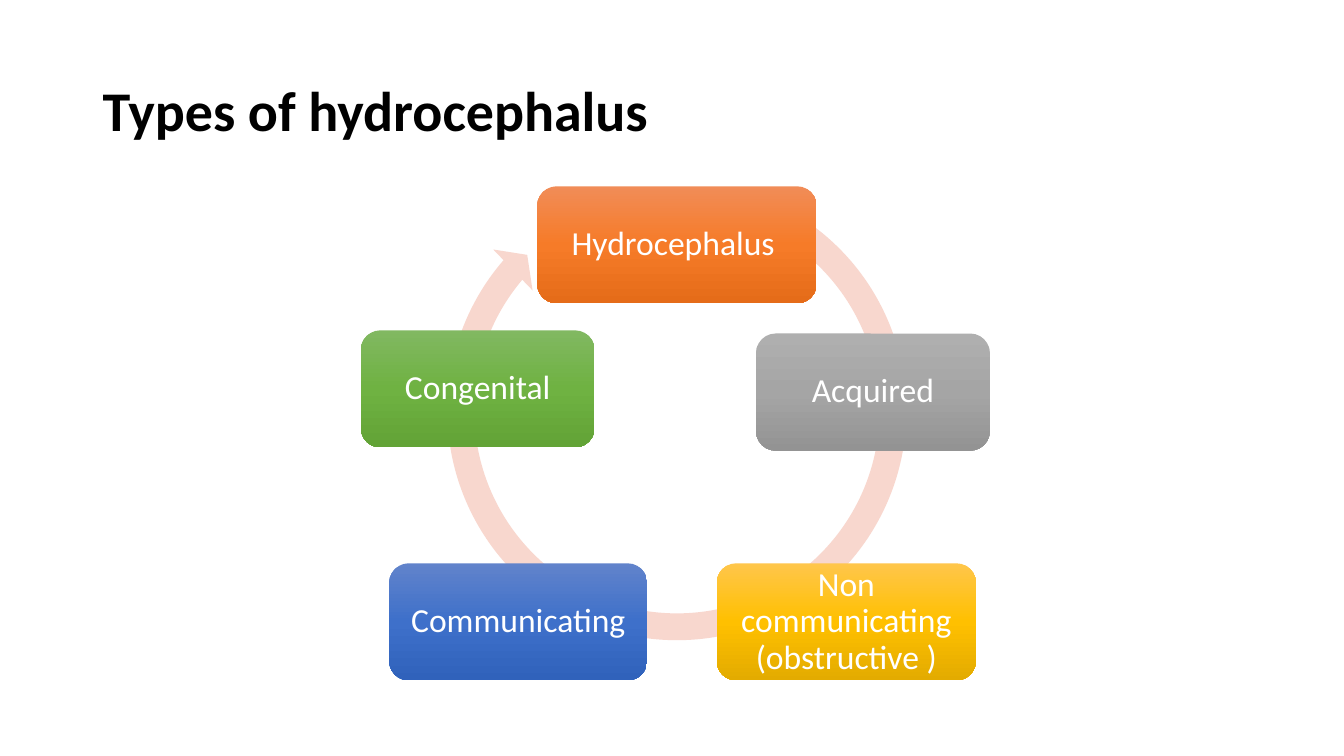
from copy import deepcopy

from pptx import Presentation
from pptx.dml.color import RGBColor
from pptx.enum.shapes import MSO_SHAPE
from pptx.enum.text import MSO_ANCHOR, PP_ALIGN
from pptx.util import Cm, Pt

FONT = "Calibri"
NODE_HEIGHT = 2.95
ARROW_ADJUSTMENTS = (0.055, 3.307, 132.382, 177.226, 0.058)

# Label, centre offset from the middle of the cycle (cm), width (cm), gradient
TYPES = [
    ("Hydrocephalus ", 0, -4.18, 7.04, ("F18C57", "F67B28", "E56C19")),
    ("Acquired", 4.94, -0.47, 5.89, ("AFAFAF", "A5A5A5", "939393")),
    ("Non communicating (obstructive )", 4.27, 5.32, 6.53,
     ("FFC64B", "FFC000", "E3AB00")),
    ("Communicating", -4, 5.32, 6.5, ("6183CB", "3E70CA", "3062BB")),
    ("Congenital", -5.02, -0.55, 5.89, ("81B861", "6FB242", "62A336")),
]


def colour(hex_code):
    return RGBColor.from_string(hex_code)


def write(frame, text, size, hex_code, align, bold=False):
    frame.word_wrap = True
    frame.vertical_anchor = MSO_ANCHOR.MIDDLE
    paragraph = frame.paragraphs[0]
    paragraph.alignment = align
    paragraph.line_spacing = 0.9
    run = paragraph.add_run()
    run.text = text
    run.font.name = FONT
    run.font.size = Pt(size)
    run.font.bold = bold
    run.font.color.rgb = colour(hex_code)


def fill_gradient(shape, hex_codes):
    """Fill from top to bottom with three evenly spaced colours."""
    fill = shape.fill
    fill.gradient()
    fill.gradient_angle = 270
    first_stop = shape._element.spPr.find(".//{*}gs")
    first_stop.addnext(deepcopy(first_stop))
    for index, (stop, hex_code) in enumerate(zip(fill.gradient_stops, hex_codes)):
        stop.position = index / 2
        stop.color.rgb = colour(hex_code)


def add_heading(slide, left, top, width, height):
    heading = slide.shapes.title
    heading.left, heading.top = Cm(left), Cm(top)
    heading.width, heading.height = Cm(width), Cm(height)
    write(heading.text_frame, "Types of hydrocephalus", 40, "000000",
          PP_ALIGN.LEFT, bold=True)


def add_node(slide, label, left, top, width, hex_codes):
    node = slide.shapes.add_shape(MSO_SHAPE.ROUNDED_RECTANGLE, Cm(left), Cm(top),
                                  Cm(width), Cm(NODE_HEIGHT))
    node.shadow.inherit = False
    node.line.fill.background()
    fill_gradient(node, hex_codes)
    frame = node.text_frame
    frame.margin_left = frame.margin_right = Cm(0.25)
    frame.margin_top = frame.margin_bottom = Cm(0.25)
    write(frame, label, 24, "FFFFFF", PP_ALIGN.CENTER)


def add_cycle(slide, left, top, size):
    # Ring arrow behind the nodes
    ring = slide.shapes.add_shape(MSO_SHAPE.CIRCULAR_ARROW, Cm(left), Cm(top),
                                  Cm(size), Cm(size))
    ring.shadow.inherit = False
    ring.fill.solid()
    ring.fill.fore_color.rgb = colour("F8D7CE")
    ring.line.fill.background()
    for index, value in enumerate(ARROW_ADJUSTMENTS):
        ring.adjustments[index] = value

    # Nodes around the ring
    centre_x, centre_y = left + size / 2, top + size / 2
    for label, dx, dy, width, hex_codes in TYPES:
        add_node(slide, label, centre_x + dx - width / 2,
                 centre_y + dy - NODE_HEIGHT / 2, width, hex_codes)


def main():
    deck = Presentation()
    deck.slide_width, deck.slide_height = Cm(33.87), Cm(19.05)
    slide = deck.slides.add_slide(deck.slide_layouts[5])
    add_heading(slide, 2.33, 1.01, 29.21, 3.68)
    add_cycle(slide, 10.9, 4.19, 12.32)
    deck.save("out.pptx")


if __name__ == "__main__":
    main()
